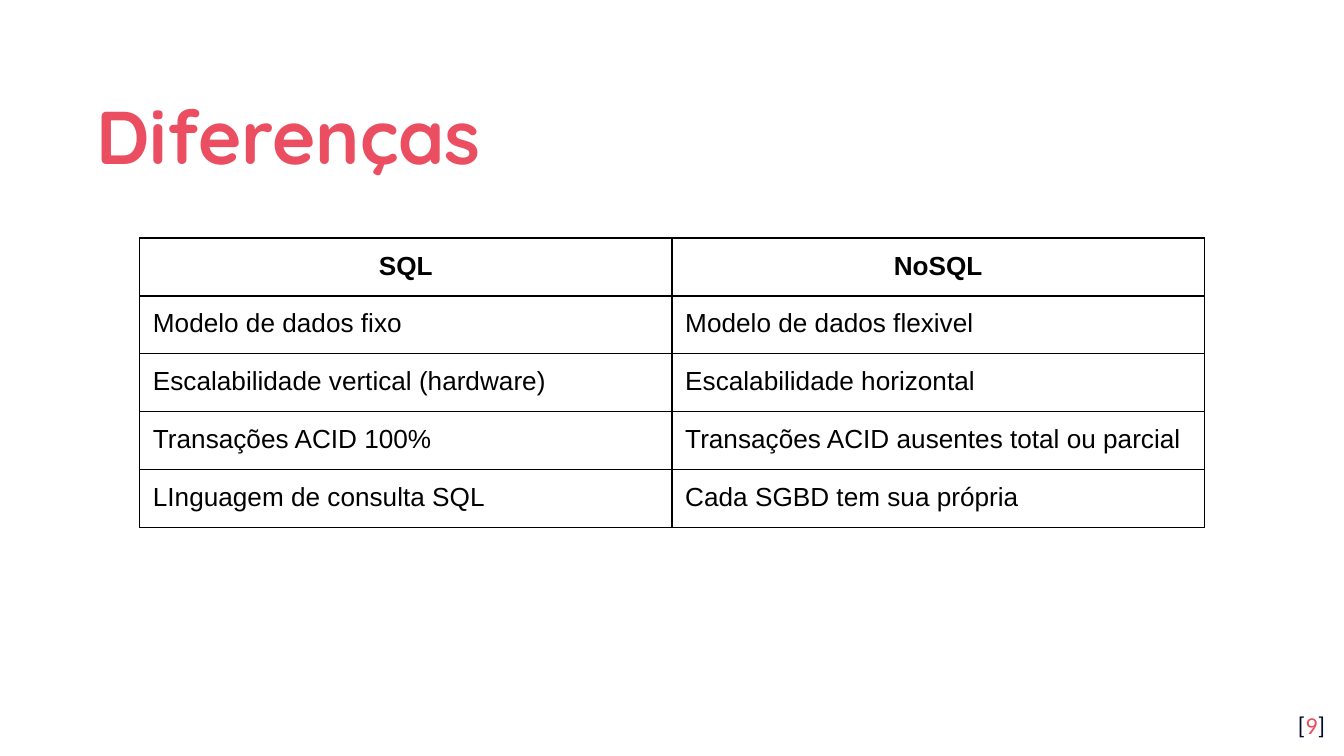
from dataclasses import dataclass

from lxml import etree
from pptx import Presentation
from pptx import util as u
from pptx.dml.color import RGBColor
from pptx.enum import text as t
from pptx.oxml import ns


@dataclass(frozen=True)
class Theme:
    red: str = "EA4E60"
    navy: str = "040A24"
    black: str = "000000"
    white: str = "FFFFFF"
    head: int = 40
    body: int = 14
    page: int = 13


theme = Theme()
pad = u.Cm(0.25)


def style(run, font, size, color, bold=False):
    run.font.name = font
    run.font.size = u.Pt(size)
    run.font.bold = bold
    run.font.color.rgb = RGBColor.from_string(color)


def add_box(left, top, width, height):
    """Add an empty, wrapping text box, placed in centimetres."""
    frame = slide.shapes.add_textbox(*map(u.Cm, (left, top, width, height))).text_frame
    frame.word_wrap = True
    frame.margin_left = frame.margin_right = pad
    frame.margin_top = frame.margin_bottom = pad
    return frame


deck = Presentation()
deck.slide_width, deck.slide_height = u.Cm(25.4), u.Cm(14.29)
slide = deck.slides.add_slide(deck.slide_layouts[6])
slide.background.fill.solid()
slide.background.fill.fore_color.rgb = RGBColor.from_string(theme.white)

# Title
title = add_box(1.57, 1.24, 22.28, 2.34)
title.vertical_anchor = t.MSO_ANCHOR.MIDDLE
title.text = "Diferenças"
title.paragraphs[0].line_spacing = 1.15
style(title.paragraphs[0].runs[0], "Quicksand", theme.head, theme.red, True)

# Page number
page = add_box(23.77, 13.18, 1.52, 1.09).paragraphs[0]
page.alignment = t.PP_ALIGN.RIGHT
for part, color in (("[", theme.navy), ("9", theme.red), ("]", theme.navy)):
    run = page.add_run()
    run.text = part
    style(run, "Calibri", theme.page, color)

# Comparison table
rows = [
    ("SQL", "NoSQL"),
    ("Modelo de dados fixo", "Modelo de dados flexivel"),
    ("Escalabilidade vertical (hardware)", "Escalabilidade horizontal"),
    ("Transações ACID 100%", "Transações ACID ausentes total ou parcial"),
    ("LInguagem de consulta SQL", "Cada SGBD tem sua própria"),
]
wide, high = u.Cm(10.06), u.Cm(1.06)
grid = slide.shapes.add_table(
    len(rows), 2, u.Cm(2.64), u.Cm(4.5), 2 * wide, len(rows) * high
).table
for col in grid.columns:
    col.width = wide
for row in grid.rows:
    row.height = high

for i, row in enumerate(rows):
    for j, label in enumerate(row):
        cell = grid.cell(i, j)
        cell.margin_left = cell.margin_right = pad
        cell.margin_top = cell.margin_bottom = pad
        cell.fill.background()
        cell.text = label
        para = cell.text_frame.paragraphs[0]
        para.alignment = t.PP_ALIGN.LEFT if i else t.PP_ALIGN.CENTER
        style(para.runs[0], "Arial", theme.body, theme.black, i == 0)
        # Borders come before the fill in the cell properties
        props = cell._tc.get_or_add_tcPr()
        for k, side in enumerate(("lnL", "lnR", "lnT", "lnB")):
            line = etree.Element(ns.qn(f"a:{side}"), w=str(u.Pt(0.75)))
            fill = etree.SubElement(line, ns.qn("a:solidFill"))
            etree.SubElement(fill, ns.qn("a:srgbClr"), val=theme.black)
            props.insert(k, line)

deck.save("out.pptx")
